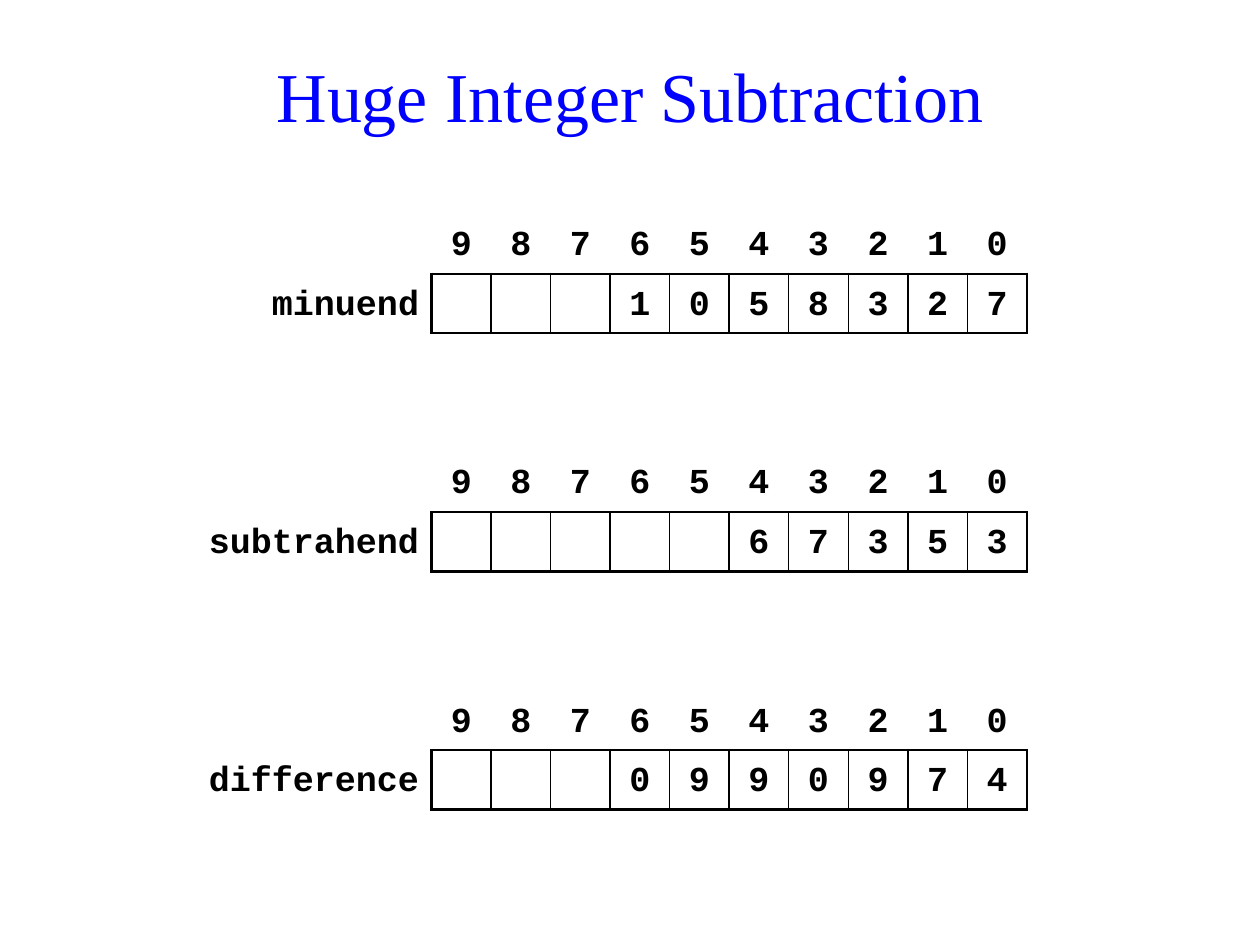
from lxml.etree import SubElement
from pptx import Presentation
from pptx.dml.color import RGBColor
from pptx.enum.text import MSO_ANCHOR, PP_ALIGN
from pptx.oxml.ns import qn
from pptx.util import Cm, Pt

INK = "000000"
DIGITS = 10
CELL = 1.2
OUTER, INNER = 1.5, 1
GRID_RIGHT = 20.7
FIRST_TOP, PITCH = 4.32, 4.8
TITLE_FORMAT = {"name": "Times New Roman", "size": Pt(40)}
TABLE_FORMAT = {"name": "Courier New", "size": Pt(20), "bold": True}
PLAIN_STYLE = {"first_row": False, "horz_banding": False}

# name, label width, digits, side margin of the digit cells
NUMBERS = [
    ("minuend", 3.6, "1058327", 0.25),
    ("subtrahend", 4.8, "67353", 0.25),
    ("difference", 4.8, "0990974", 0.1),
]


def set_all(target, values):
    """Set every attribute named in a dict of format values."""
    for name, value in values.items():
        setattr(target, name, value)


def paint(color_format, color):
    """Apply a hex colour."""
    color_format.rgb = RGBColor.from_string(color)


def write(para, text, font_format, color, align):
    """Put one formatted span into a paragraph."""
    para.alignment = align
    span = para.add_run()
    span.text = text
    set_all(span.font, font_format)
    paint(span.font.color, color)


def set_borders(cell, widths):
    """Draw the sides that have a width in points and clear the others."""
    properties = cell._tc.get_or_add_tcPr()
    for side in "LRTB":
        width = widths.get(side, 0)
        line = SubElement(properties, qn(f"a:ln{side}"), w=str(Pt(width)))
        if width:
            fill = SubElement(line, qn("a:solidFill"))
            SubElement(fill, qn("a:srgbClr"), val=INK)
        else:
            SubElement(line, qn("a:noFill"))


def fill_cell(cell, text, align, side_margin, widths):
    """Give a table cell its borders, margins and text."""
    set_borders(cell, widths)
    cell.fill.background()
    set_all(cell, {
        "margin_left": Cm(side_margin), "margin_right": Cm(side_margin),
        "margin_top": Cm(0.05), "margin_bottom": Cm(0.05),
    })
    para = cell.text_frame.paragraphs[0]
    para.line_spacing = 1.25
    if text:
        write(para, text, TABLE_FORMAT, INK, align)


def add_title(page, text, left, top, width, height):
    """Place the centred slide title."""
    box = page.shapes.add_textbox(Cm(left), Cm(top), Cm(width), Cm(height))
    frame = box.text_frame
    set_all(frame, {"word_wrap": True, "vertical_anchor": MSO_ANCHOR.MIDDLE})
    write(frame.paragraphs[0], text, TITLE_FORMAT, "0000FF", PP_ALIGN.CENTER)


def add_number(page, top, name, label_width, digits, side_margin):
    """Place one named digit array with its indices above it."""
    width = label_width + DIGITS * CELL
    table = page.shapes.add_table(
        2, DIGITS + 1, Cm(GRID_RIGHT - width), Cm(top), Cm(width), Cm(2 * CELL)
    ).table
    set_all(table, PLAIN_STYLE)
    for row in table.rows:
        row.height = Cm(CELL)
    for column in table.columns:
        column.width = Cm(CELL)
    table.columns[0].width = Cm(label_width)

    fill_cell(table.cell(0, 0), "", PP_ALIGN.RIGHT, 0.25, {})
    fill_cell(table.cell(1, 0), name, PP_ALIGN.RIGHT, 0.25, {"R": OUTER})
    for column, digit in enumerate(digits.rjust(DIGITS), start=1):
        widths = {
            "L": OUTER if column == 1 else INNER,
            "R": OUTER if column == DIGITS else INNER,
            "T": OUTER,
            "B": OUTER,
        }
        fill_cell(table.cell(0, column), str(DIGITS - column),
                  PP_ALIGN.CENTER, side_margin, {"B": OUTER})
        fill_cell(table.cell(1, column), digit.strip(),
                  PP_ALIGN.CENTER, side_margin, widths)


def build_subtraction(deck):
    """Add the slide with the title and the three digit arrays."""
    page = deck.slides.add_slide(deck.slide_layouts[6])
    add_title(page, "Huge Integer Subtraction", 0.7, 0.7, 24, 2.4)
    for index, number in enumerate(NUMBERS):
        add_number(page, FIRST_TOP + index * PITCH, *number)


deck = Presentation()
set_all(deck, {"slide_width": Cm(25.4), "slide_height": Cm(19.05)})
build_subtraction(deck)
deck.save("out.pptx")
